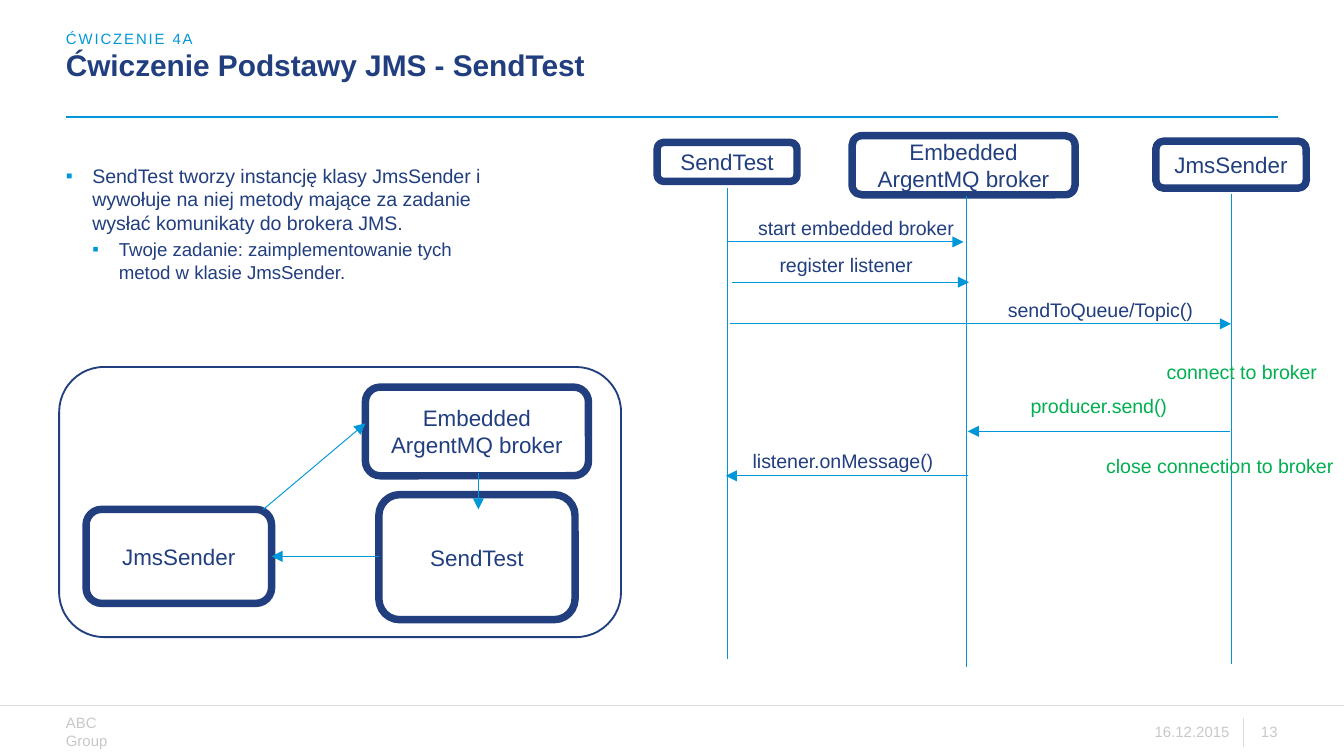
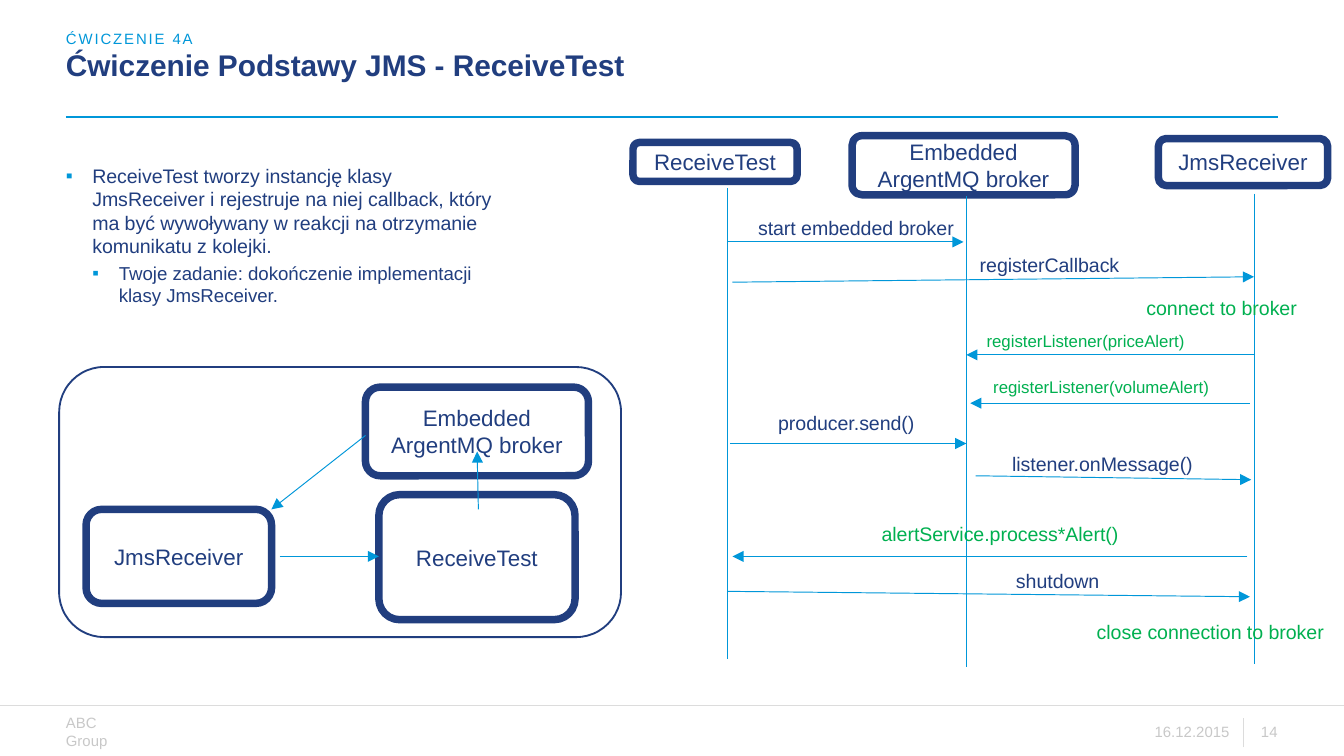
from lxml.etree import SubElement
from pptx import Presentation
from pptx.dml.color import RGBColor
from pptx.enum.shapes import MSO_CONNECTOR, MSO_SHAPE
from pptx.enum.text import MSO_ANCHOR, MSO_AUTO_SIZE, PP_ALIGN
from pptx.oxml.ns import qn
from pptx.util import Pt

NAVY = RGBColor(0x21, 0x3E, 0x7F)
CYAN = RGBColor(0x00, 0x97, 0xD9)
GREEN = RGBColor(0x00, 0xB0, 0x50)
SILVER = RGBColor(0xDC, 0xDC, 0xDC)
GREY = RGBColor(0xC8, 0xC8, 0xC8)
WHITE = RGBColor(0xFF, 0xFF, 0xFF)
FONT = "Arial"

EYEBROW = "ĆWICZENIE 4A"
COMPANY = "ABC Group"
DATE = "16.12.2015"
BROKER = "Embedded\nArgentMQ broker"

LEFT, RIGHT = 35.3, 684.7
TEST_X, BROKER_X = 389.5, 517.7
LIFELINE_LENGTH = 252

# Message: label, (left, top, width), size, colour, arrow (x1, y1, x2, y2) or None
START = ("start embedded broker", (406.1, 115.9, 106.6), 10.5, NAVY,
         (TEST_X, 129.6, 516.2, 129.6))

SLIDES = [
    {
        "number": 13,
        "test": "SendTest",
        "worker": "JmsSender",
        "task": "SendTest tworzy instancję klasy JmsSender i wywołuje na niej metody "
                "mające za zadanie wysłać komunikaty do brokera JMS.",
        "subtask": "Twoje zadanie: zaimplementowanie tych metod w klasie JmsSender.",
        "flow": [(141.1, 272.9, 195.8, 226.8), (203, 298.1, 145.4, 298.1),
                 (256.3, 253.4, 256.3, 272.9)],
        "test_head": (352.1, 76.3, 74.9, 20.9),
        "worker_head": (619.2, 75.6, 80.6, 25.2),
        "worker_x": 659.5,
        "messages": [
            START,
            ("register listener", (417.6, 135.4, 72.7), 10.5, NAVY,
             (392.4, 151.2, 519.1, 151.2)),
            ("sendToQueue/Topic()", (540, 159.8, 103.7), 10.5, NAVY,
             (391, 173.5, 659.5, 173.5)),
            ("connect to broker", (625, 193, 82.1), 10.5, GREEN, None),
            ("producer.send()", (552.2, 211, 74.9), 10.5, GREEN,
             (658.8, 231.1, 518.4, 231.1)),
            ("listener.onMessage()", (403.2, 240.5, 99.4), 10.5, NAVY,
             (518.4, 254.9, 388.8, 254.9)),
            ("close connection to broker", (592.6, 243.4, 123.8), 10.5, GREEN, None),
        ],
    },
    {
        "number": 14,
        "test": "ReceiveTest",
        "worker": "JmsReceiver",
        "task": "ReceiveTest tworzy instancję klasy JmsReceiver i rejestruje na niej "
                "callback, który ma być wywoływany w reakcji na otrzymanie komunikatu "
                "z kolejki.",
        "subtask": "Twoje zadanie: dokończenie implementacji klasy JmsReceiver.",
        "flow": [(195.8, 233.3, 145.4, 272.9), (149.8, 298.1, 203, 298.1),
                 (256.3, 272.9, 255.6, 241.9)],
        "test_head": (339.1, 76.3, 87.9, 20.9),
        "worker_head": (620.6, 74.2, 90.7, 25.2),
        "worker_x": 671.8,
        "messages": [
            START,
            ("registerCallback", (524.9, 135.4, 76.3), 10.5, NAVY,
             (392.4, 151.2, 671.8, 148.3)),
            ("connect to broker", (614.2, 158.4, 82.1), 10.5, GREEN, None),
            ("registerListener(priceAlert)", (528.5, 177.1, 107.3), 9, GREEN,
             (671.8, 190.1, 517.7, 190.1)),
            ("registerListener(volumeAlert)", (532.1, 201.6, 116.6), 9, GREEN,
             (669.6, 216, 519.8, 216)),
            ("producer.send()", (416.9, 220.3, 74.9), 10.5, NAVY,
             (391, 237.6, 517.7, 237.6)),
            ("listener.onMessage()", (542.2, 241.9, 99.4), 10.5, NAVY,
             (522.7, 254.9, 670.3, 257)),
            ("alertService.process*Alert()", (472.3, 279.4, 129.6), 10.5, GREEN,
             (668.2, 298.1, 392.4, 298.1)),
            ("shutdown", (544.3, 304.6, 45.4), 10.5, NAVY,
             (389.5, 316.8, 669.6, 319.7)),
            ("close connection to broker", (587.5, 331.9, 123.8), 10.5, GREEN, None),
        ],
    },
]


def points(values):
    return [Pt(v) for v in values]


def set_margins(tf, margin):
    tf.margin_left = tf.margin_right = tf.margin_top = tf.margin_bottom = Pt(margin)


def format_runs(p, size, color, bold=False):
    for r in p.runs:
        r.font.name = FONT
        r.font.size = Pt(size)
        r.font.bold = bold
        r.font.color.rgb = color


def add_text(s, text, box, size, color, bold=False, align=PP_ALIGN.LEFT,
             anchor=MSO_ANCHOR.TOP, wrap=False):
    tf = s.shapes.add_textbox(*points(box)).text_frame
    set_margins(tf, 0)
    tf.word_wrap = wrap
    tf.auto_size = MSO_AUTO_SIZE.SHAPE_TO_FIT_TEXT
    tf.vertical_anchor = anchor
    tf.text = text
    p = tf.paragraphs[0]
    p.alignment = align
    format_runs(p, size, color, bold)
    return p


def add_line(s, ends, color=CYAN, width=0.5, arrow=False):
    line = s.shapes.add_connector(MSO_CONNECTOR.STRAIGHT, *points(ends))
    line.line.color.rgb = color
    line.line.width = Pt(width)
    sp_pr = line._element.spPr
    if arrow:
        SubElement(sp_pr.find(qn("a:ln")), qn("a:tailEnd"), type="triangle")
    SubElement(sp_pr, qn("a:effectLst"))


def add_box(s, box, text="", border=4):
    sp = s.shapes.add_shape(MSO_SHAPE.ROUNDED_RECTANGLE, *points(box))
    sp.shadow.inherit = False
    sp.fill.solid()
    sp.fill.fore_color.rgb = WHITE
    sp.line.color.rgb = NAVY
    sp.line.width = Pt(border)
    tf = sp.text_frame
    set_margins(tf, 8.64)
    tf.vertical_anchor = MSO_ANCHOR.MIDDLE
    tf.text = text
    for p in tf.paragraphs:
        p.alignment = PP_ALIGN.CENTER
        format_runs(p, 12, NAVY)


def add_frame(s, title, number):
    """Title, eyebrow, rules and footer shared by every slide."""
    add_line(s, (LEFT, 62.6, RIGHT, 62.6), width=0.75)
    add_line(s, (-2, 378, 722, 378), SILVER, 0.75)
    add_line(s, (666, 400.3, 666, 384.5), SILVER, 0.75)
    for text, x, width, align in ((COMPANY, LEFT, 41, PP_ALIGN.LEFT),
                                  (DATE, 617.8, 41, PP_ALIGN.RIGHT),
                                  (str(number), 668.5, 16, PP_ALIGN.RIGHT)):
        add_text(s, text, (x, 387.4, width, 9.4), 8, GREY, align=align,
                 anchor=MSO_ANCHOR.MIDDLE)
    p = add_text(s, title, (LEFT, 27.4, 527, 17.3), 16, NAVY, bold=True, wrap=True)
    p.line_spacing = Pt(17)
    p = add_text(s, EYEBROW, (LEFT, 15.8, 527, 9.4), 8, CYAN,
                 anchor=MSO_ANCHOR.BOTTOM, wrap=True)
    p.runs[0].font._element.set("spc", "100")


def add_bullets(s, task, subtask):
    tf = s.shapes.add_textbox(*points((LEFT, 87.8, 235.4, 95.8))).text_frame
    set_margins(tf, 0)
    tf.word_wrap = True
    tf.text = f"{task}\n{subtask}"
    for level, (p, size, before) in enumerate(zip(tf.paragraphs, (10.5, 10), (6, 2))):
        p.level = level
        p.space_before = Pt(before)
        format_runs(p, size, NAVY)
        p_pr = p._p.get_or_add_pPr()
        p_pr.set("marL", str(Pt(14.2 * (level + 1))))
        p_pr.set("indent", str(Pt(-14.2)))
        bullet_color = SubElement(p_pr, qn("a:buClr"))
        SubElement(bullet_color, qn("a:srgbClr"), val=str(CYAN))
        SubElement(p_pr, qn("a:buFont"), typeface=FONT)
        SubElement(p_pr, qn("a:buChar"), char="▪")


def add_components(s, data):
    add_box(s, (31.7, 196.6, 301, 144.7), border=1)
    add_box(s, (203, 265, 105.1, 67), data["test"])
    add_box(s, (46.1, 272.9, 99.4, 50.4), data["worker"])
    add_box(s, (195.8, 207.4, 119.5, 47.5), BROKER)
    for ends in data["flow"]:
        add_line(s, ends, arrow=True)


def add_sequence(s, data):
    add_box(s, data["test_head"], data["test"])
    add_box(s, (456.5, 72.7, 119.5, 31.7), BROKER)
    add_box(s, data["worker_head"], data["worker"])
    for x, top in ((TEST_X, 100.8), (BROKER_X, 105.1), (data["worker_x"], 103.7)):
        add_line(s, (x, top, x, top + LIFELINE_LENGTH))
    for label, place, size, color, ends in data["messages"]:
        if ends:
            add_line(s, ends, arrow=True)
        add_text(s, label, (*place, size * 1.2), size, color)


def main():
    prs = Presentation()
    prs.slide_width, prs.slide_height = Pt(720), Pt(405)
    for data in SLIDES:
        s = prs.slides.add_slide(prs.slide_layouts[6])
        add_frame(s, f"Ćwiczenie Podstawy JMS - {data['test']}", data["number"])
        add_components(s, data)
        add_bullets(s, data["task"], data["subtask"])
        add_sequence(s, data)
    prs.save("out.pptx")


if __name__ == "__main__":
    main()
